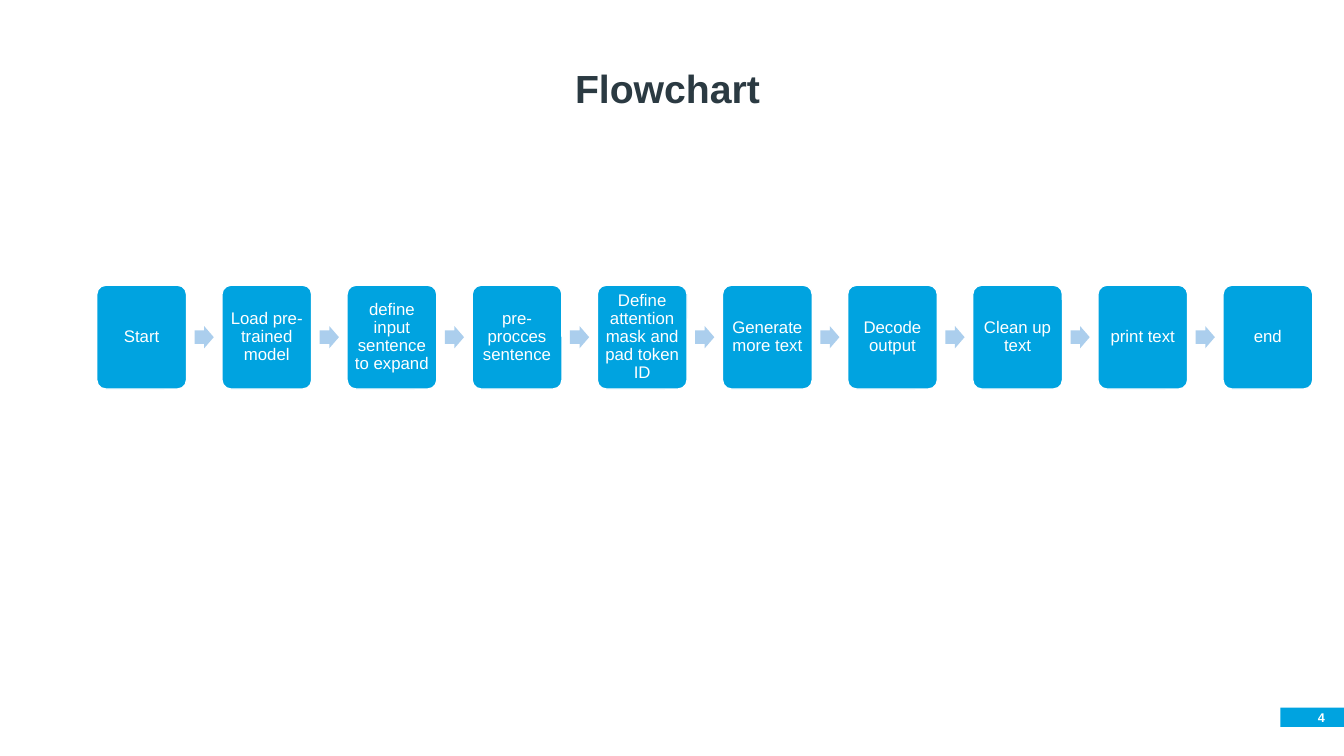
from pptx import Presentation
from pptx import util as u
from pptx.dml import color
from pptx.enum import shapes, text

BLUE, PALE, DARK, WHITE = "00A3E0", "ABCEED", "2B3A42", "FFFFFF"
STEPS = [
    "Start", "Load pre-trained model", "define input sentence to expand",
    "pre-procces sentence", "Define attention mask and pad token ID",
    "Generate more text", "Decode output", "Clean up text", "print text", "end",
]


def paint(target, shade):
    if hasattr(target, "solid"):
        target.solid()
        target = target.fore_color
    target.rgb = color.RGBColor.from_string(shade)


def place(shape, box):
    shape.left, shape.top, shape.width, shape.height = map(u.Inches, box)


def draw(slide, kind, box, shade):
    shape = slide.shapes.add_shape(kind, *map(u.Inches, box))
    shape.shadow.inherit = False
    paint(shape.fill, shade)
    shape.line.fill.background()
    return shape


def write(shape, words, size, shade, bold=False, align="CENTER", anchor="MIDDLE"):
    frame = shape.text_frame
    frame.text = words
    frame.word_wrap = True
    frame.auto_size = text.MSO_AUTO_SIZE.NONE
    frame.vertical_anchor = text.MSO_ANCHOR[anchor]
    para = frame.paragraphs[0]
    para.alignment = text.PP_ALIGN[align]
    para.line_spacing = 0.9
    para.font.name = "Arial"
    para.font.size = u.Pt(size)
    para.font.bold = bold
    paint(para.font.color, shade)
    return frame


def pad(frame, left, top, right, base):
    frame.margin_left, frame.margin_top = u.Inches(left), u.Inches(top)
    frame.margin_right, frame.margin_bottom = u.Inches(right), u.Inches(base)


def head(slide, box):
    title = slide.shapes.title
    place(title, box)
    write(title, "Flowchart", 28, DARK, bold=True, anchor="BOTTOM")


def flow(slide, box):
    left, top, width, height = box
    wide, tip, tall = 0.89, 0.19, 0.22
    pitch = (width - wide) / (len(STEPS) - 1)
    for i, step in enumerate(STEPS):
        x = left + i * pitch
        card = draw(slide, shapes.MSO_SHAPE.ROUNDED_RECTANGLE,
                    (x, top, wide, height), BLUE)
        card.adjustments[0] = 0.1
        paint(card.line.fill, WHITE)
        card.line.width = u.Pt(1)
        pad(write(card, step, 12, WHITE), 0.05, 0.05, 0.05, 0.05)
        if i < len(STEPS) - 1:
            arrow = draw(slide, shapes.MSO_SHAPE.RIGHT_ARROW,
                         (x + wide + 0.08, top + (height - tall) / 2, tip, tall), PALE)
            arrow.adjustments[0] = 0.6
            arrow.adjustments[1] = 0.5


def foot(slide, box):
    tab = draw(slide, shapes.MSO_SHAPE.RECTANGLE, box, BLUE)
    frame = write(tab, "4", 9, WHITE, bold=True, align="RIGHT")
    frame.paragraphs[0].line_spacing = 1.0
    pad(frame, 0, 0, 0.19, 0)


def main():
    deck = Presentation()
    deck.slide_width, deck.slide_height = u.Inches(13.33), u.Inches(7.5)
    slide = deck.slides.add_slide(deck.slide_layouts.get_by_name("Title Only"))
    foot(slide, (12.7, 7.02, 0.63, 0.19))
    head(slide, (0.42, 0.32, 12.4, 0.84))
    flow(slide, (0.96, 2.83, 12.06, 1.03))
    deck.save("out.pptx")


if __name__ == "__main__":
    main()
